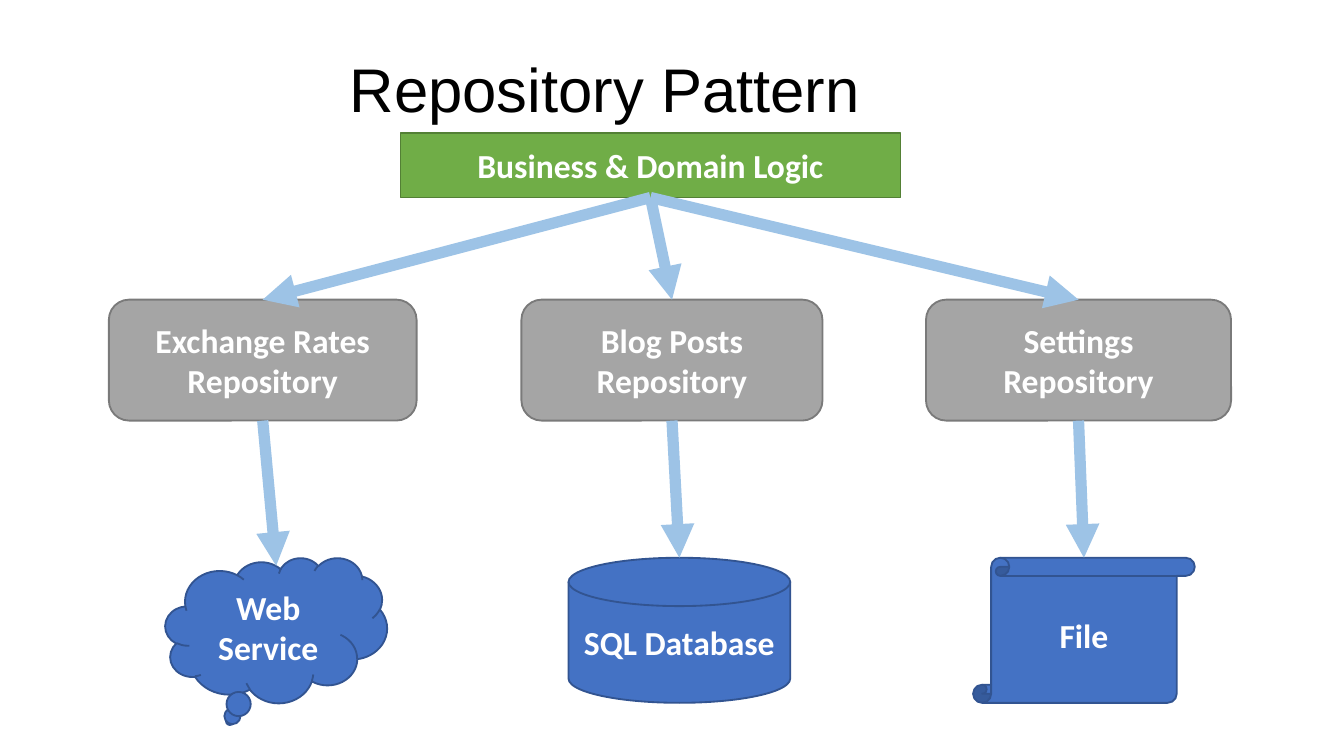
from lxml import etree
from pptx import Presentation
from pptx.dml.color import RGBColor
from pptx.enum.shapes import MSO_CONNECTOR, MSO_SHAPE
from pptx.enum.text import MSO_ANCHOR, MSO_AUTO_SIZE, PP_ALIGN
from pptx.oxml.ns import qn
from pptx.util import Inches, Pt

COLORS = {
    "title": "000000",
    "text": "FFFFFF",
    "logic": "70AD47",
    "logic_line": "538035",
    "repository": "A5A5A5",
    "repository_line": "7A7A7A",
    "source": "4472C4",
    "source_line": "325491",
    "arrow": "9DC3E6",
}

SLIDE_WIDTH = 10
SLIDE_HEIGHT = SLIDE_WIDTH * 9 / 16
REPOSITORY_TOP, REPOSITORY_HEIGHT = 2.23, 0.9
SOURCE_TOP, SOURCE_WIDTH, SOURCE_HEIGHT = 4.15, 1.65, 1.08

# Repository name, left, width; source name, shape, left, drop of its top edge
BRANCHES = [
    ("Exchange Rates Repository", 0.81, 2.29,
     "Web Service", MSO_SHAPE.CLOUD_CALLOUT, 1.23, 0.06),
    ("Blog Posts Repository", 3.88, 2.24,
     "SQL Database", MSO_SHAPE.FLOWCHART_MAGNETIC_DISK, 4.23, 0),
    ("Settings Repository", 6.89, 2.27,
     "File", MSO_SHAPE.VERTICAL_SCROLL, 7.24, 0),
]


def color(name):
    return RGBColor.from_string(COLORS[name])


def write(text_frame, text, size, font_name, color_name, bold=False):
    """Put one centred run in the frame's first paragraph."""
    text_frame.word_wrap = True
    text_frame.vertical_anchor = MSO_ANCHOR.MIDDLE
    paragraph = text_frame.paragraphs[0]
    paragraph.alignment = PP_ALIGN.CENTER
    run = paragraph.add_run()
    run.text = text
    run.font.size = Pt(size)
    run.font.name = font_name
    run.font.bold = bold
    run.font.color.rgb = color(color_name)
    return paragraph


def add_title(slide, text, left, top, width, height):
    title = slide.shapes.title
    title.left, title.top = Inches(left), Inches(top)
    title.width, title.height = Inches(width), Inches(height)
    frame = title.text_frame
    frame.auto_size = MSO_AUTO_SIZE.NONE
    frame.margin_left = frame.margin_right = 0
    frame.margin_top = frame.margin_bottom = 0
    paragraph = write(frame, text, 33, "Arial", "title")
    paragraph.line_spacing = 0.9


def add_node(slide, kind, text, style, left, top, width, height):
    """Add a labelled shape whose fill and outline follow the style name."""
    node = slide.shapes.add_shape(
        kind, Inches(left), Inches(top), Inches(width), Inches(height))
    node.shadow.inherit = False
    node.fill.solid()
    node.fill.fore_color.rgb = color(style)
    node.line.color.rgb = color(style + "_line")
    node.line.width = Pt(1)
    write(node.text_frame, text, 18, "Calibri", "text", bold=True)


def add_arrow(slide, start, end):
    arrow = slide.shapes.add_connector(
        MSO_CONNECTOR.STRAIGHT, *map(Inches, start + end))
    arrow.line.color.rgb = color("arrow")
    arrow.line.width = Pt(6)
    properties = arrow._element.spPr
    line = properties.find(qn("a:ln"))
    etree.SubElement(line, qn("a:tailEnd"), type="triangle")
    etree.SubElement(properties, qn("a:effectLst"))


def add_logic(slide, left, top, width, height):
    """Add the logic bar and return the point its arrows start from."""
    add_node(slide, MSO_SHAPE.RECTANGLE, "Business & Domain Logic", "logic",
             left, top, width, height)
    return left + width / 2, top + height


def add_branch(slide, origin, repository, left, width,
               source, source_kind, source_left, drop):
    """Add a repository, the source below it and the arrows leading to both."""
    add_node(slide, MSO_SHAPE.ROUNDED_RECTANGLE, repository, "repository",
             left, REPOSITORY_TOP, width, REPOSITORY_HEIGHT)
    add_node(slide, source_kind, source, "source",
             source_left, SOURCE_TOP, SOURCE_WIDTH, SOURCE_HEIGHT)
    center = left + width / 2
    add_arrow(slide, origin, (center, REPOSITORY_TOP))
    add_arrow(slide, (center, REPOSITORY_TOP + REPOSITORY_HEIGHT),
              (source_left + SOURCE_WIDTH / 2, SOURCE_TOP + drop))


def main():
    presentation = Presentation()
    presentation.slide_width = Inches(SLIDE_WIDTH)
    presentation.slide_height = Inches(SLIDE_HEIGHT)
    slide = presentation.slides.add_slide(presentation.slide_layouts[5])
    add_title(slide, "Repository Pattern", 0, 0.22, 9, 0.94)
    origin = add_logic(slide, 2.98, 0.99, 3.72, 0.48)
    for branch in BRANCHES:
        add_branch(slide, origin, *branch)
    presentation.save("out.pptx")


if __name__ == "__main__":
    main()
